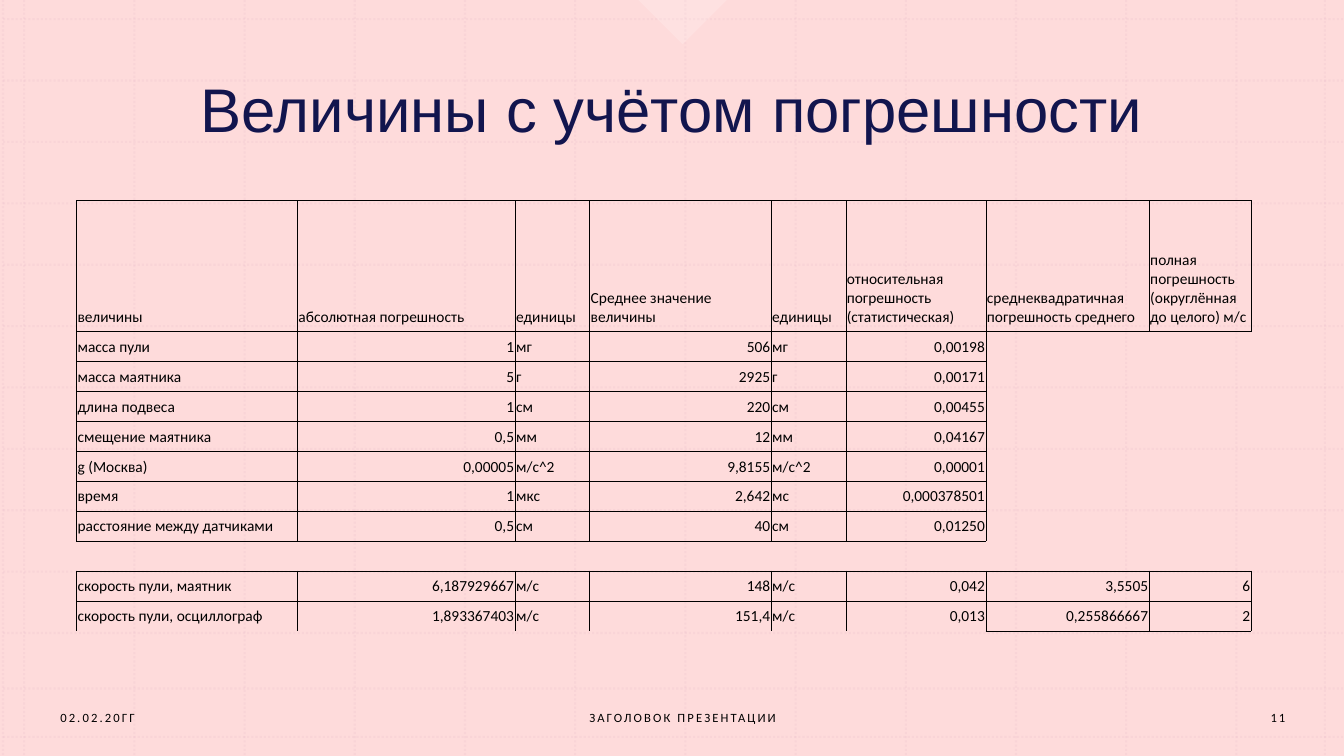
from lxml.etree import SubElement
from pptx import Presentation
from pptx.dml.color import RGBColor
from pptx.enum.dml import MSO_LINE
from pptx.enum.shapes import MSO_CONNECTOR, MSO_SHAPE
from pptx.enum.text import MSO_ANCHOR as Anchor, PP_ALIGN as Align
from pptx.oxml.ns import qn
from pptx.util import Inches, Pt

WIDTH, HEIGHT = 13.33, 7.5
NAVY = RGBColor(0x12, 0x15, 0x4E)
BLACK = RGBColor(0, 0, 0)
WHITE = RGBColor(0xFF, 0xFF, 0xFF)
PINK = RGBColor(0xFE, 0xCF, 0xCF)
MAUVE = RGBColor(0xB4, 0x95, 0xC2)

COLUMN_WIDTHS = [2.19, 2.16, 0.74, 1.8, 0.74, 1.39, 1.62, 1.01]
HEADER_HEIGHT = 1.3
NUMERIC_COLUMNS = {1, 3, 5, 6, 7}
OPEN_BOTTOM_COLUMNS = 6
ROWS = [
    ["величины", "абсолютная погрешность", "единицы", "Среднее значение величины", "единицы",
     "относительная погрешность (статистическая)", "среднеквадратичная погрешность среднего",
     "полная погрешность (округлённая до целого) м/с"],
    ["масса пули", "1", "мг", "506", "мг", "0,00198", "", ""],
    ["масса маятника", "5", "г", "2925", "г", "0,00171", "", ""],
    ["длина подвеса", "1", "см", "220", "см", "0,00455", "", ""],
    ["смещение маятника", "0,5", "мм", "12", "мм", "0,04167", "", ""],
    ["g (Москва)", "0,00005", "м/с^2", "9,8155", "м/с^2", "0,00001", "", ""],
    ["время", "1", "мкс", "2,642", "мс", "0,000378501", "", ""],
    ["расстояние между датчиками", "0,5", "см", "40", "см", "0,01250", "", ""],
    [""] * 8,
    ["скорость пули, маятник", "6,187929667", "м/с", "148", "м/с", "0,042", "3,5505", "6"],
    ["скорость пули, осциллограф", "1,893367403", "м/с", "151,4", "м/с", "0,013", "0,255866667", "2"],
]


def set_alpha(fill_parent, percent):
    color = next(fill_parent.iter(qn("a:srgbClr")))
    SubElement(color, qn("a:alpha")).set("val", str(percent * 1000))


def write_text(frame, text, size=11, font="Calibri", color=BLACK, align=Align.LEFT,
               line_spacing=None, tracking=0):
    frame.word_wrap = True
    paragraph = frame.paragraphs[0]
    paragraph.alignment = align
    paragraph.line_spacing = line_spacing
    if not text:
        SubElement(paragraph._p, qn("a:endParaRPr")).set("sz", str(size * 100))
        return
    run = paragraph.add_run()
    run.text = text
    run.font.size = Pt(size)
    run.font.name = font
    run.font.color.rgb = color
    if tracking:
        run.font._element.set("spc", str(int(tracking * 100)))


def add_text(slide, box, text, **text_format):
    frame = slide.shapes.add_textbox(*map(Inches, box)).text_frame
    frame.vertical_anchor = Anchor.MIDDLE
    write_text(frame, text, **text_format)


def add_grid_line(slide, start, end):
    line = slide.shapes.add_connector(MSO_CONNECTOR.STRAIGHT, *map(Inches, start + end))
    line.line.color.rgb = MAUVE
    line.line.width = Pt(1.5)
    line.line.dash_style = MSO_LINE.ROUND_DOT
    properties = line._element.spPr
    set_alpha(properties, 25)
    SubElement(properties, qn("a:effectLst"))


def add_tinted_shape(slide, kind, box, color, opacity):
    shape = slide.shapes.add_shape(kind, *map(Inches, box))
    shape.shadow.inherit = False
    shape.fill.solid()
    shape.fill.fore_color.rgb = color
    shape.line.fill.background()
    set_alpha(shape._element.spPr, opacity)
    return shape


def add_backdrop(slide, box):
    left, top, width, height = box
    for x in [0.03, *(0.24 + 1.093 * step for step in range(12)), 13.14]:
        add_grid_line(slide, (left + x, top), (left + x, top + height))
    for y in [*(0.19 + 0.609 * step for step in range(11)), 6.83, 7.31]:
        add_grid_line(slide, (left + 0.03, top + y), (left + 0.03 + width, top + y))
    add_tinted_shape(slide, MSO_SHAPE.RECTANGLE, box, PINK, 74)
    side = 0.62
    corner = (left + 6.46, top - side / 2, side, side)
    add_tinted_shape(slide, MSO_SHAPE.RIGHT_TRIANGLE, corner, WHITE, 17).rotation = 315


def is_filled(row, column):
    return 0 <= row < len(ROWS) and 0 <= column < len(COLUMN_WIDTHS) and bool(ROWS[row][column])


def set_borders(cell, row, column):
    neighbours = {"L": (row, column - 1), "R": (row, column + 1),
                  "T": (row - 1, column), "B": (row + 1, column)}
    for side, neighbour in neighbours.items():
        visible = is_filled(row, column) or is_filled(*neighbour)
        if side == "B" and row == len(ROWS) - 1 and column < OPEN_BOTTOM_COLUMNS:
            visible = False
        line = SubElement(cell._tc.get_or_add_tcPr(), qn("a:ln" + side))
        line.set("w", str(Pt(0.5) if visible else 0))
        if visible:
            fill = SubElement(line, qn("a:solidFill"))
            SubElement(fill, qn("a:srgbClr")).set("val", str(BLACK))
        else:
            SubElement(line, qn("a:noFill"))


def add_measurements(slide, box):
    table = slide.shapes.add_table(len(ROWS), len(COLUMN_WIDTHS), *map(Inches, box)).table
    table.first_row = table.horz_banding = False
    for column, width in zip(table.columns, COLUMN_WIDTHS):
        column.width = Inches(width)
    body_height = (box[3] - HEADER_HEIGHT) / (len(ROWS) - 1)
    for row, values in enumerate(ROWS):
        table.rows[row].height = Inches(body_height if row else HEADER_HEIGHT)
        for column, value in enumerate(values):
            cell = table.cell(row, column)
            cell.margin_left = cell.margin_right = cell.margin_top = Inches(0.01)
            cell.margin_bottom = Inches(0.05)
            cell.vertical_anchor = Anchor.BOTTOM
            set_borders(cell, row, column)
            cell.fill.background()
            numeric = row > 0 and column in NUMERIC_COLUMNS
            write_text(cell.text_frame, value, align=Align.RIGHT if numeric else Align.LEFT)


def add_footer(slide, box):
    left, top, width, height = box
    parts = [("02.02.20ГГ", 0, 2.8, Align.LEFT),
             ("ЗАГОЛОВОК ПРЕЗЕНТАЦИИ", 4.09, 4.36, Align.CENTER),
             ("11", width - 0.87, 0.87, Align.CENTER)]
    for text, offset, part_width, align in parts:
        add_text(slide, (left + offset, top, part_width, height), text,
                 size=9, align=align, tracking=1.5)


def main():
    presentation = Presentation()
    presentation.slide_width, presentation.slide_height = Inches(WIDTH), Inches(HEIGHT)
    slide = presentation.slides.add_slide(presentation.slide_layouts[6])
    add_backdrop(slide, (0, 0, WIDTH, HEIGHT))
    add_text(slide, (0.84, 0.5, 11.65, 1.23), "Величины с учётом погрешности",
             size=44, font="Arial", color=NAVY, align=Align.CENTER, line_spacing=0.9)
    add_footer(slide, (0.5, 6.92, 12.61, 0.4))
    add_measurements(slide, (0.76, 1.99, sum(COLUMN_WIDTHS), 4.27))
    presentation.save("out.pptx")


if __name__ == "__main__":
    main()
